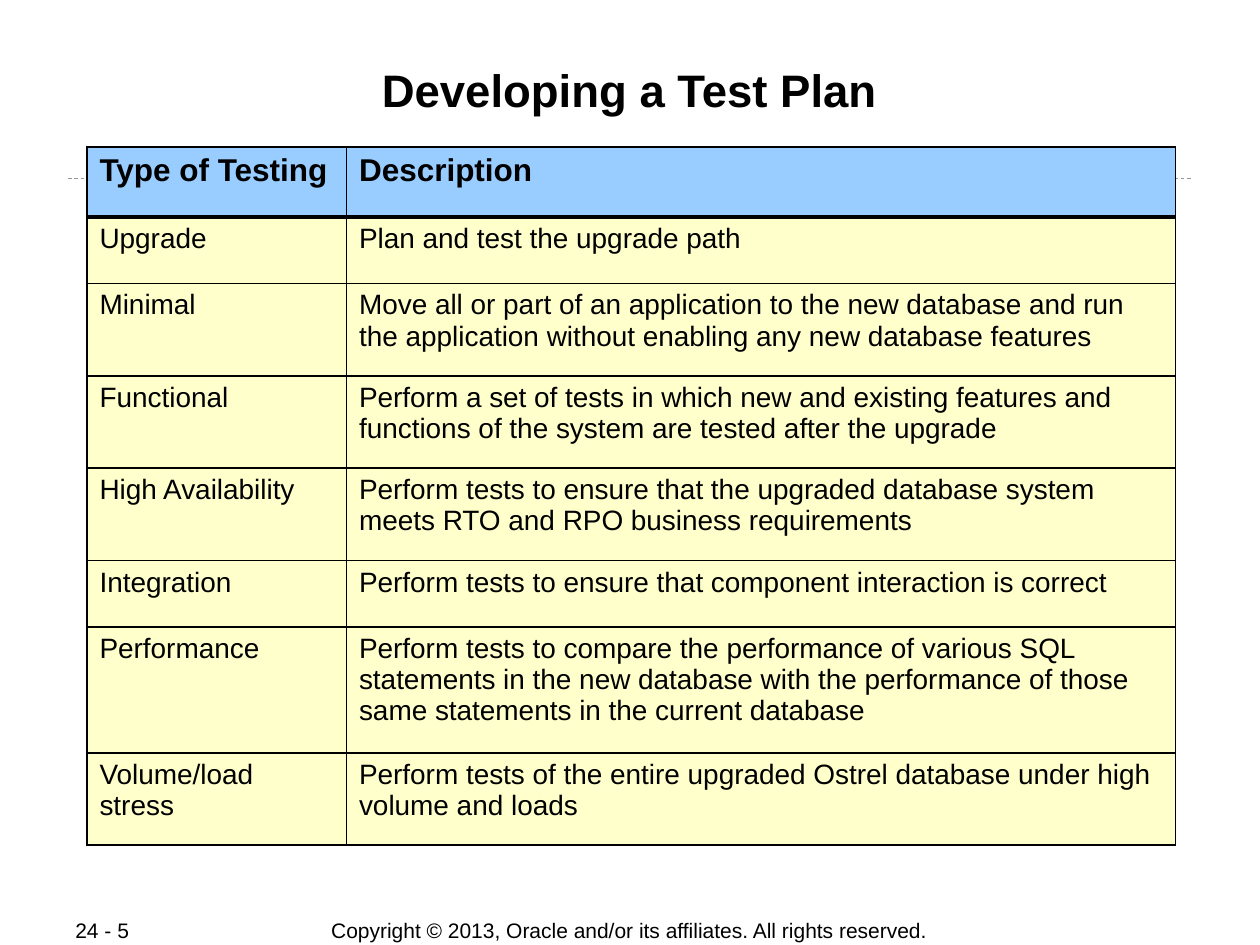
from dataclasses import dataclass

from lxml.etree import SubElement
from pptx import Presentation
from pptx.dml.color import RGBColor
from pptx.enum.dml import MSO_LINE_DASH_STYLE as Dash
from pptx.enum.shapes import MSO_CONNECTOR as Connector
from pptx.enum.text import MSO_ANCHOR as Anchor, MSO_AUTO_SIZE as AutoSize, PP_ALIGN as Align
from pptx.oxml.ns import qn
from pptx.util import Pt


@dataclass(frozen=True)
class Theme:
    font: str = "Arial"
    ink: str = "000000"
    header_fill: str = "99CCFF"
    body_fill: str = "FFFFCC"
    rule: str = "999999"
    title_size: float = 26
    header_size: float = 18
    body_size: float = 16
    footer_size: float = 12
    border: float = 1.08
    header_border: float = 2.21


@dataclass(frozen=True)
class TestType:
    name: str
    description: str
    height: float


@dataclass(frozen=True)
class Footer:
    text: str
    left: float
    width: float
    align: Align


THEME = Theme()

HEADINGS = TestType("Type of Testing", "Description", 40)
TEST_TYPES = [
    TestType("Upgrade", "Plan and test the upgrade path", 38),
    TestType("Minimal", "Move all or part of an application to the new database and run "
             "the application without enabling any new database features", 52.8),
    TestType("Functional", "Perform a set of tests in which new and existing features and "
             "functions of the system are tested after the upgrade", 52.8),
    TestType("High Availability", "Perform tests to ensure that the upgraded database system "
             "meets RTO and RPO business requirements", 52.8),
    TestType("Integration", "Perform tests to ensure that component interaction is correct", 37.8),
    TestType("Performance", "Perform tests to compare the performance of various SQL "
             "statements in the new database with the performance of those "
             "same statements in the current database", 72),
    TestType("Volume/load stress", "Perform tests of the entire upgraded Ostrel database "
             "under high volume and loads", 52.8),
]
COLUMN_WIDTHS = (148.3, 473.8)

FOOTERS = [
    Footer("Copyright © 2013, Oracle and/or its affiliates. All rights reserved.",
           174.6, 370, Align.CENTER),
    Footer("24 - 5", 36, 76.3, Align.LEFT),
]


def add_run(paragraph, text: str, size: float, bold: bool = False) -> None:
    run = paragraph.add_run()
    run.text = text
    run.font.name = THEME.font
    run.font.size = Pt(size)
    run.font.bold = bold
    run.font.color.rgb = RGBColor.from_string(THEME.ink)


def set_borders(cell, top: float, bottom: float) -> None:
    """Put the four border lines ahead of the cell's fill."""
    properties = cell._tc.get_or_add_tcPr()
    widths = {"lnL": THEME.border, "lnR": THEME.border, "lnT": top, "lnB": bottom}
    for position, (tag, width) in enumerate(widths.items()):
        line = SubElement(properties, qn(f"a:{tag}"), w=str(Pt(width)))
        solid = SubElement(line, qn("a:solidFill"))
        SubElement(solid, qn("a:srgbClr"), val=THEME.ink)
        properties.insert(position, line)


def add_title(slide, text: str) -> None:
    title = slide.shapes.title
    title.left, title.top, title.width, title.height = Pt(48), Pt(34.6), Pt(623.5), Pt(69)
    frame = title.text_frame
    frame.auto_size = AutoSize.NONE
    frame.vertical_anchor = Anchor.TOP
    frame.margin_left = frame.margin_right = frame.margin_top = frame.margin_bottom = Pt(0.7)
    frame.paragraphs[0].alignment = Align.CENTER
    add_run(frame.paragraphs[0], text, THEME.title_size, bold=True)


def add_title_rule(slide) -> None:
    rule = slide.shapes.add_connector(Connector.STRAIGHT, Pt(39), Pt(102.2), Pt(681), Pt(102.2))
    rule.line.color.rgb = RGBColor.from_string(THEME.rule)
    rule.line.width = Pt(0.5)
    rule.line.dash_style = Dash.DASH
    SubElement(rule._element.spPr, qn("a:effectLst"))


def add_footer(slide, footer: Footer) -> None:
    box = slide.shapes.add_textbox(Pt(footer.left), Pt(524.2), Pt(footer.width), Pt(15))
    frame = box.text_frame
    frame.word_wrap = True
    frame.margin_top = frame.margin_bottom = Pt(0)
    frame.vertical_anchor = Anchor.MIDDLE
    frame.paragraphs[0].alignment = footer.align
    add_run(frame.paragraphs[0], footer.text, THEME.footer_size)


def add_test_table(slide) -> None:
    rows = [HEADINGS, *TEST_TYPES]
    table = slide.shapes.add_table(
        len(rows), len(COLUMN_WIDTHS), Pt(49.7), Pt(84),
        Pt(sum(COLUMN_WIDTHS)), Pt(sum(row.height for row in rows))).table
    table.horz_banding = False
    table.first_row = False
    for column, width in zip(table.columns, COLUMN_WIDTHS):
        column.width = Pt(width)

    for index, test in enumerate(rows):
        table.rows[index].height = Pt(test.height)
        is_header = index == 0
        fill = THEME.header_fill if is_header else THEME.body_fill
        size = THEME.header_size if is_header else THEME.body_size
        for cell, text in zip(table.rows[index].cells, (test.name, test.description)):
            cell.fill.solid()
            cell.fill.fore_color.rgb = RGBColor.from_string(fill)
            set_borders(cell,
                        top=THEME.header_border if index == 1 else THEME.border,
                        bottom=THEME.header_border if is_header else THEME.border)
            add_run(cell.text_frame.paragraphs[0], text, size, bold=is_header)


def main() -> None:
    deck = Presentation()
    deck.slide_width, deck.slide_height = Pt(720), Pt(540)
    slide = deck.slides.add_slide(deck.slide_layouts[5])  # title only

    # Page furniture
    for footer in FOOTERS:
        add_footer(slide, footer)
    add_title_rule(slide)

    # Content
    add_title(slide, "Developing a Test Plan")
    add_test_table(slide)

    deck.save("out.pptx")


if __name__ == "__main__":
    main()
